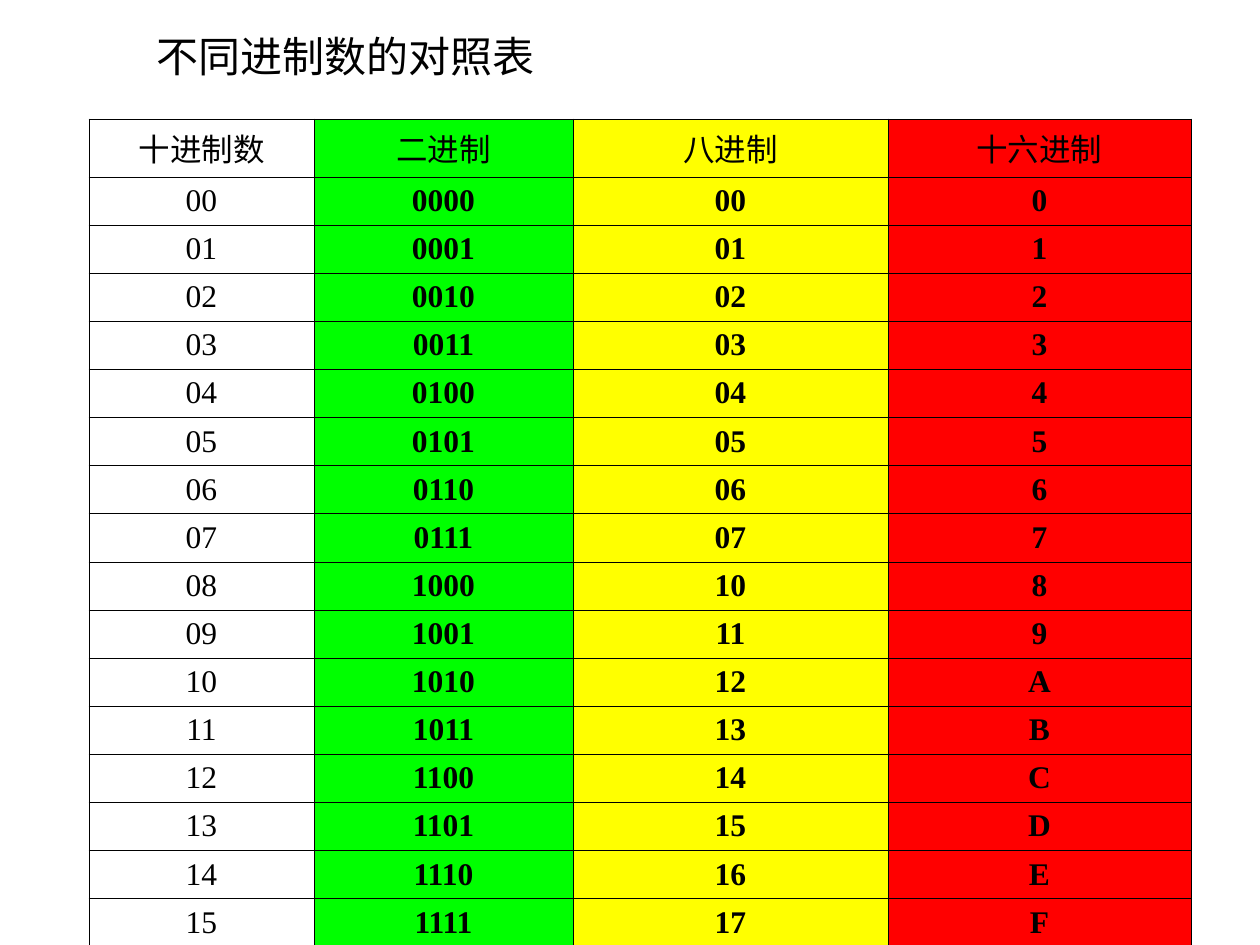
from lxml.etree import SubElement
from pptx import Presentation
from pptx.dml.color import RGBColor
from pptx.enum.text import MSO_ANCHOR, MSO_AUTO_SIZE, PP_ALIGN
from pptx.oxml.ns import qn
from pptx.util import Emu, Pt

TITLE = "不同进制数的对照表"
# heading, number format, column width in px, fill, bold digits
COLUMNS = [
    ("十进制数", "02d", 225, None, False),
    ("二进制", "04b", 259, "00FF00", True),
    ("八进制", "02o", 315, "FFFF00", True),
    ("十六进制", "X", 303, "FF0000", True),
]
NUMBERS = range(16)

THEME = {
    "ink": "000000",
    "latin": "Times New Roman",
    "chinese": "Noto Sans CJK SC",
    "title_size": Pt(24),
    "cell_size": Pt(18),
    "border": Pt(0.45),
}
PAGE = (1260, 945)
TITLE_BOX = (144, 24, 883, 63)
TABLE_LEFT, TABLE_TOP = 89, 119
HEADING_HEIGHT, NUMBERS_HEIGHT = 58, 761
CELL_BOTTOM_MARGIN = 4


def px(length):
    return Emu(length * 914400 // 126)


def write(para, text, latin, size, bold=False):
    span = para.add_run()
    span.text = text
    for name, value in {"name": latin, "size": size, "bold": bold}.items():
        setattr(span.font, name, value)
    span.font.color.rgb = RGBColor.from_string(THEME["ink"])
    SubElement(span.font._element, qn("a:ea"), typeface=THEME["chinese"])


def add_borders(cell):
    properties = cell._tc.get_or_add_tcPr()
    for side in ("lnL", "lnR", "lnT", "lnB"):
        line = SubElement(properties, qn(f"a:{side}"), w=str(THEME["border"]))
        fill = SubElement(line, qn("a:solidFill"))
        SubElement(fill, qn("a:srgbClr"), val=THEME["ink"])


def format_cell(cell, text, color, bold):
    cell.margin_bottom = px(CELL_BOTTOM_MARGIN)
    para = cell.text_frame.paragraphs[0]
    para.alignment = PP_ALIGN.CENTER
    write(para, text, THEME["latin"], THEME["cell_size"], bold)
    add_borders(cell)
    if color:
        cell.fill.solid()
        cell.fill.fore_color.rgb = RGBColor.from_string(color)
    else:
        cell.fill.background()


def add_title(page):
    box = page.shapes.title
    for name, length in zip(("left", "top", "width", "height"), TITLE_BOX):
        setattr(box, name, px(length))
    frame = box.text_frame
    frame_format = {
        "word_wrap": True,
        "auto_size": MSO_AUTO_SIZE.SHAPE_TO_FIT_TEXT,
        "vertical_anchor": MSO_ANCHOR.MIDDLE,
    }
    for name, value in frame_format.items():
        setattr(frame, name, value)
    para = frame.paragraphs[0]
    para.alignment = PP_ALIGN.LEFT
    write(para, TITLE, THEME["chinese"], THEME["title_size"])


def add_number_table(page):
    width = sum(column[2] for column in COLUMNS)
    table = page.shapes.add_table(
        len(NUMBERS) + 1, len(COLUMNS), px(TABLE_LEFT), px(TABLE_TOP),
        px(width), px(HEADING_HEIGHT + NUMBERS_HEIGHT)).table
    table.horz_banding = False
    table.first_row = False
    for row in table.rows:
        row.height = Emu(px(NUMBERS_HEIGHT) // len(NUMBERS))
    table.rows[0].height = px(HEADING_HEIGHT)
    for x, (heading, pattern, column_width, color, bold) in enumerate(COLUMNS):
        table.columns[x].width = px(column_width)
        format_cell(table.cell(0, x), heading, color, False)
        for y, number in enumerate(NUMBERS, 1):
            format_cell(table.cell(y, x), format(number, pattern), color, bold)


def main():
    deck = Presentation()
    deck.slide_width, deck.slide_height = map(px, PAGE)
    page = deck.slides.add_slide(deck.slide_layouts.get_by_name("Title Only"))
    add_title(page)
    add_number_table(page)
    deck.save("out.pptx")


if __name__ == "__main__":
    main()
